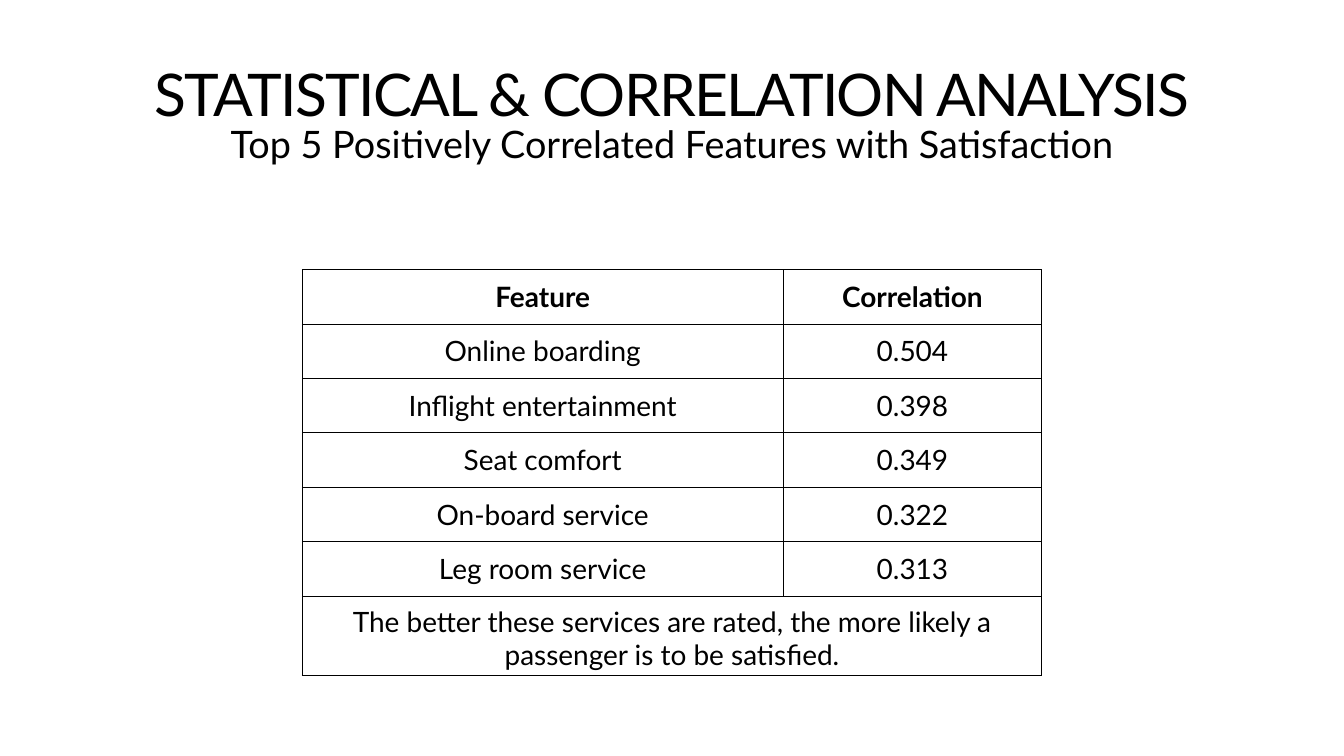
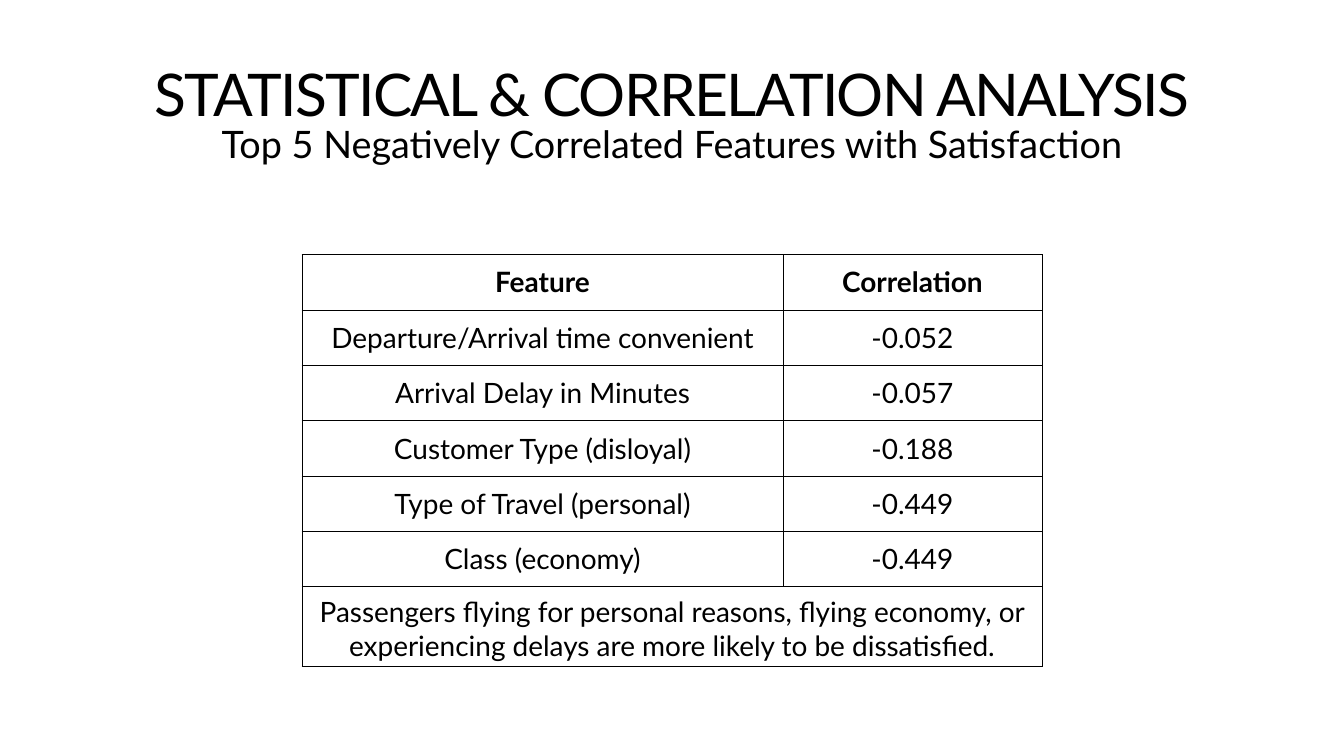
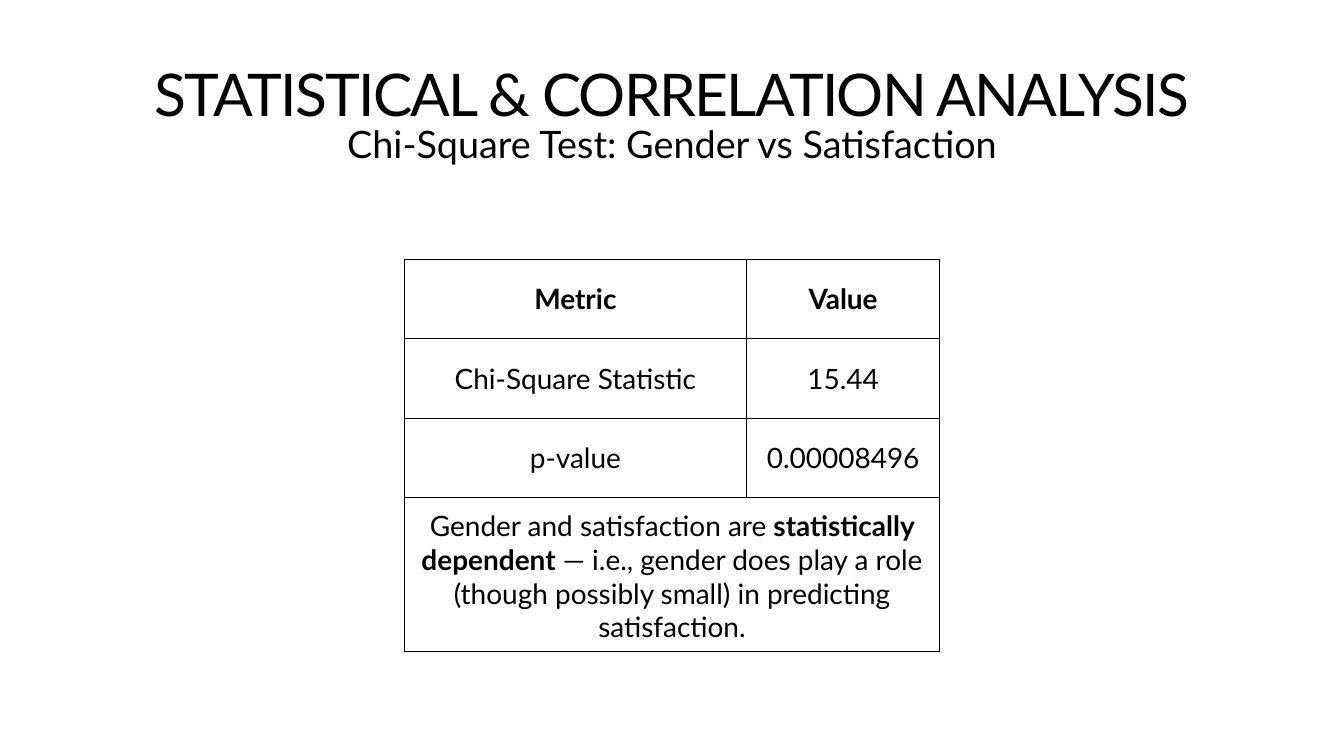
from lxml.etree import fromstring
from pptx import Presentation
from pptx.dml.color import RGBColor
from pptx.enum.text import MSO_ANCHOR, MSO_AUTO_SIZE, PP_ALIGN
from pptx.oxml.ns import nsdecls
from pptx.util import Pt

TITLE = "STATISTICAL & CORRELATION ANALYSIS"
FINDINGS = [
    {
        "subtitle": "Top 5 Positively Correlated Features with Satisfaction",
        "rows": [
            ("Feature", "Correlation"),
            ("Online boarding", "0.504"),
            ("Inflight entertainment", "0.398"),
            ("Seat comfort", "0.349"),
            ("On-board service", "0.322"),
            ("Leg room service", "0.313"),
        ],
        "takeaway": [
            ("The better these services are rated, the more likely "
             "a passenger is to be satisfied.", False),
        ],
        "top": 385, "columns": (687, 369.5), "row_height": 77.7, "takeaway_height": 114,
    },
    {
        "subtitle": "Top 5 Negatively Correlated Features with Satisfaction",
        "rows": [
            ("Feature", "Correlation"),
            ("Departure/Arrival time convenient", "-0.052"),
            ("Arrival Delay in Minutes", "-0.057"),
            ("Customer Type (disloyal)", "-0.188"),
            ("Type of Travel (personal)", "-0.449"),
            ("Class (economy)", "-0.449"),
        ],
        "takeaway": [
            ("Passengers flying for personal reasons, flying economy, or "
             "experiencing delays are more likely to be dissatisfied.", False),
        ],
        "top": 363.5, "columns": (687, 370), "row_height": 79.1, "takeaway_height": 114,
    },
    {
        "subtitle": "Chi-Square Test: Gender vs Satisfaction",
        "rows": [
            ("Metric", "Value"),
            ("Chi-Square Statistic", "15.44"),
            ("p-value", "0.00008496"),
        ],
        "takeaway": [
            ("Gender and satisfaction are ", False),
            ("statistically dependent", True),
            (" — i.e., gender does play a role (though possibly small) "
             "in predicting satisfaction.", False),
        ],
        "top": 370.5, "columns": (489, 276), "row_height": 113.3, "takeaway_height": 219.6,
    },
]

SLIDE_WIDTH, SLIDE_HEIGHT = 1920, 1080
COLOURS = {"ink": "000000"}
FONT = "Lato"
MARGINS = ("margin_left", "margin_top", "margin_right", "margin_bottom")
HEADING_INSETS = dict.fromkeys(MARGINS, Pt(4))
VALUE_INSETS = dict.fromkeys(MARGINS, Pt(1))
TAKEAWAY_INSETS = HEADING_INSETS | {"margin_top": Pt(11)}
TITLE_PLACE = {"left": Pt(100), "top": Pt(64), "width": Pt(1720), "height": Pt(122.4)}
SUBTITLE_PLACE = {"left": Pt(100), "top": Pt(168), "width": Pt(1720), "height": Pt(80)}


def apply(target, formats):
    for attribute, setting in formats.items():
        setattr(target, attribute, setting)


def write(frame, pieces, size):
    paragraph = frame.paragraphs[0]
    paragraph.alignment = PP_ALIGN.CENTER
    for wording, bold in pieces:
        run = paragraph.add_run()
        run.text = wording
        apply(run.font, {"name": FONT, "size": Pt(size), "bold": bold})
        run.font.color.rgb = RGBColor.from_string(COLOURS["ink"])
    return paragraph


def write_heading(heading, wording, size, place, anchor):
    apply(heading, place)
    frame = heading.text_frame
    apply(frame, HEADING_INSETS | {
        "word_wrap": True, "auto_size": MSO_AUTO_SIZE.NONE, "vertical_anchor": anchor})
    return write(frame, [(wording, False)], size)


def outline(cell):
    properties = cell._tc.get_or_add_tcPr()
    for position, side in enumerate("LRTB"):
        properties.insert(position, fromstring(
            f'<a:ln{side} {nsdecls("a")} w="{Pt(1)}"><a:solidFill>'
            f'<a:srgbClr val="{COLOURS["ink"]}"/></a:solidFill></a:ln{side}>'))


def fill_cell(cell, pieces, insets):
    apply(cell, insets | {"vertical_anchor": MSO_ANCHOR.MIDDLE})
    write(cell.text_frame, pieces, 40)


def add_findings(slide, finding):
    rows, columns = finding["rows"], finding["columns"]
    heights = [finding["row_height"]] * len(rows) + [finding["takeaway_height"]]
    width = sum(columns)
    grid = slide.shapes.add_table(
        len(heights), len(columns), Pt((SLIDE_WIDTH - width) / 2), Pt(finding["top"]),
        Pt(width), Pt(sum(heights))).table
    apply(grid, {"first_row": False, "horz_banding": False})
    for column, column_width in zip(grid.columns, columns):
        column.width = Pt(column_width)
    for row, height in zip(grid.rows, heights):
        row.height = Pt(height)
    for cell in grid.iter_cells():
        cell.fill.background()
        outline(cell)
    for r, entries in enumerate(rows):
        for c, entry in enumerate(entries):
            fill_cell(grid.cell(r, c), [(entry, r == 0)], VALUE_INSETS)
    takeaway = grid.cell(len(rows), 0)
    takeaway.merge(grid.cell(len(rows), len(columns) - 1))
    fill_cell(takeaway, finding["takeaway"], TAKEAWAY_INSETS)


def main():
    deck = Presentation()
    apply(deck, {"slide_width": Pt(SLIDE_WIDTH), "slide_height": Pt(SLIDE_HEIGHT)})
    for finding in FINDINGS:
        slide = deck.slides.add_slide(deck.slide_layouts[5])
        title = write_heading(
            slide.shapes.title, TITLE, 84, TITLE_PLACE, MSO_ANCHOR.BOTTOM)
        title.line_spacing = 0.8
        title.runs[0]._r.get_or_add_rPr().set("spc", "-250")
        subtitle = slide.shapes.add_textbox(*SUBTITLE_PLACE.values())
        write_heading(subtitle, finding["subtitle"], 54, SUBTITLE_PLACE, MSO_ANCHOR.TOP)
        add_findings(slide, finding)
    deck.save("out.pptx")


if __name__ == "__main__":
    main()
